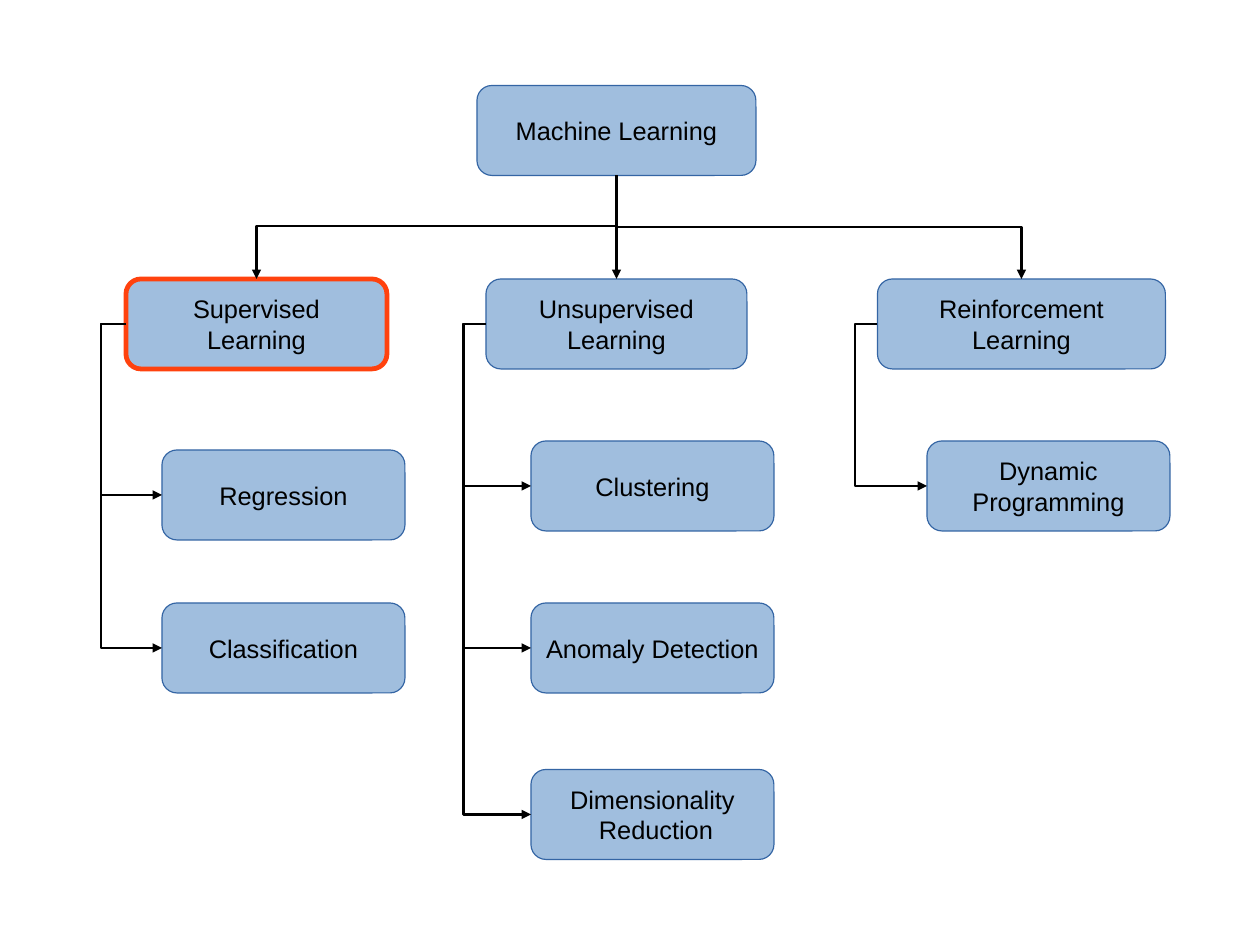
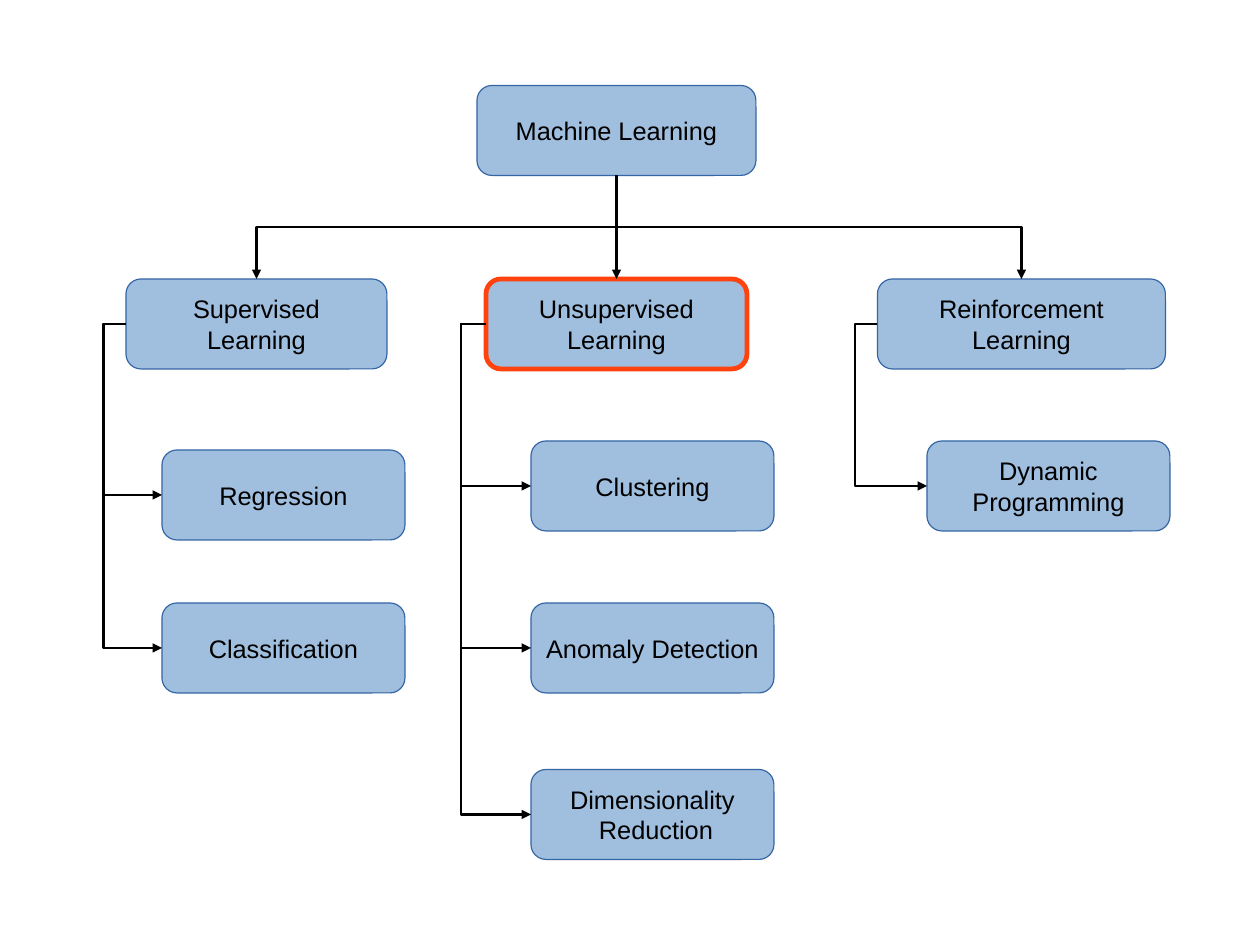
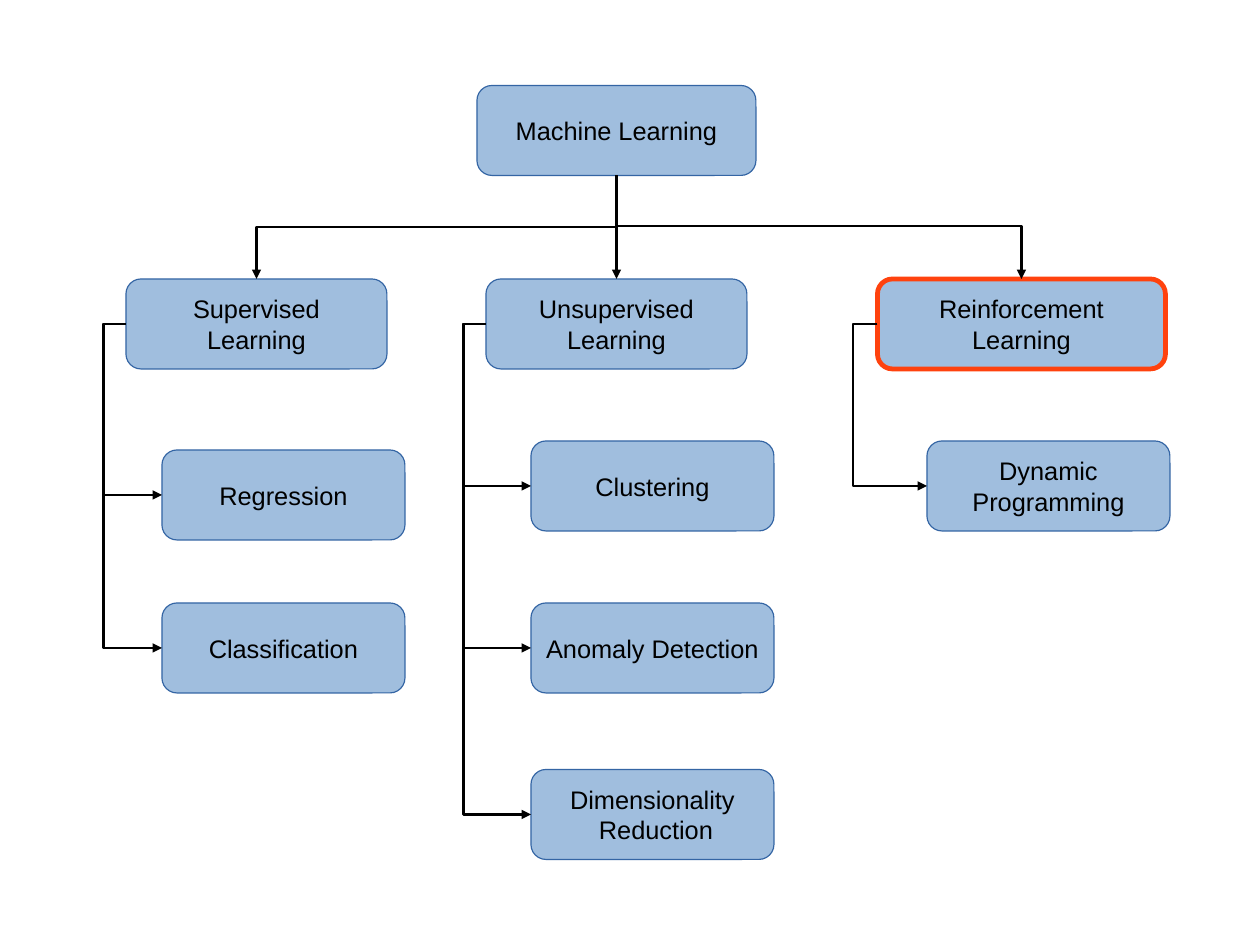
from lxml.etree import SubElement
from pptx import Presentation
from pptx.dml.color import RGBColor
from pptx.enum.shapes import MSO_CONNECTOR, MSO_SHAPE
from pptx.enum.text import MSO_ANCHOR, PP_ALIGN
from pptx.oxml.ns import qn
from pptx.util import Cm, Pt

FILL, EDGE, ACCENT, INK = "729FCF", "3465A4", "FF420E", "000000"
FONT, SIZE = "Arial", 16
NODE_H, LEAF_W = 2, 5.4
TOP, LEFT, BOTTOM = 0, 1, 2
ROOT = ("Machine Learning", 10.6, 1.9, 6.2)
BRANCH_Y = 6.2
BRANCHES = [
    ("Supervised\nLearning", 2.8, 5.8, 0.8,
     [("Regression", 3.8), ("Classification", 7.2)]),
    ("Unsupervised\nLearning", 10.8, 5.8, 1,
     [("Clustering", 3.6), ("Anomaly Detection", 7.2),
      ("Dimensionality\n Reduction", 10.9)]),
    ("Reinforcement\nLearning", 19.5, 6.4, 1.1,
     [("Dynamic\nProgramming", 3.6)]),
]


def color(value):
    return RGBColor.from_string(value)


def add_node(s, label, x, y, w, lit=False):
    sp = s.shapes.add_shape(MSO_SHAPE.ROUNDED_RECTANGLE, Cm(x), Cm(y), Cm(w), Cm(NODE_H))
    sp.shadow.inherit = False
    sp.fill.solid()
    sp.fill.fore_color.rgb = color(FILL)
    fill = sp.fill._xPr.find(qn("a:solidFill"))
    SubElement(fill[0], qn("a:alpha"), val="67000")
    sp.line.color.rgb = color(ACCENT if lit else EDGE)
    sp.line.width = Pt(3 if lit else 0)
    tf = sp.text_frame
    tf.word_wrap = False
    tf.vertical_anchor = MSO_ANCHOR.MIDDLE
    tf.margin_left = tf.margin_right = Cm(0.3 if lit else 0.25)
    tf.margin_top = tf.margin_bottom = Cm(0.18 if lit else 0.13)
    tf.text = label
    for p in tf.paragraphs:
        p.alignment = PP_ALIGN.CENTER
        for r in p.runs:
            r.font.name, r.font.size = FONT, Pt(SIZE)
            r.font.color.rgb = color(INK)
    return sp


def add_elbow(s, begin, begin_site, end, end_site, bend):
    cxn = s.shapes.add_connector(MSO_CONNECTOR.ELBOW, 0, 0, 0, 0)
    cxn.begin_connect(begin, begin_site)
    cxn.end_connect(end, end_site)
    cxn.line.color.rgb = color(INK)
    cxn.line.width = Pt(1.5)
    SubElement(cxn.line._get_or_add_ln(), qn("a:tailEnd"), type="triangle")
    props = cxn._element.spPr
    SubElement(props, qn("a:effectLst"))
    guides = props.find(qn("a:prstGeom")).get_or_add_avLst()
    SubElement(guides, qn("a:gd"), name="adj1", fmla=f"val {round(bend * 100000)}")
    return cxn


def link_down(s, parent, child, lit):
    x1, y1 = parent.left + parent.width // 2, parent.top + parent.height
    x2, y2 = child.left + child.width // 2, child.top
    cxn = add_elbow(s, parent, BOTTOM, child, TOP, 0.49 if lit else 0.5)
    drop, run = y2 - y1, abs(x2 - x1)
    cxn.left, cxn.top = (x1 + x2 - drop) // 2, (y1 + y2 - run) // 2
    cxn.width, cxn.height = drop, run
    xfrm = cxn._element.spPr.find(qn("a:xfrm"))
    to_right = x2 > x1
    xfrm.set("rot", "16200000" if to_right else "5400000")
    xfrm.set("flipH", "1" if to_right else "0")
    xfrm.set("flipV", "0")


def link_side(s, parent, child, lit):
    x1, y1 = parent.left, parent.top + parent.height // 2
    x2, y2 = child.left, child.top + child.height // 2
    cxn = add_elbow(s, parent, LEFT, child, LEFT, -Cm(0.55 if lit else 0.5) / (x2 - x1))
    cxn.left, cxn.top, cxn.width, cxn.height = x1, y1, x2 - x1, y2 - y1
    xfrm = cxn._element.spPr.find(qn("a:xfrm"))
    xfrm.set("flipH", "0")
    xfrm.set("flipV", "0")


def add_branch(s, x, y, w, label, indent, leaves, lit):
    head = add_node(s, label, x, y, w, lit)
    for leaf_label, dy in leaves:
        leaf = add_node(s, leaf_label, x + indent, y + dy, LEAF_W)
        link_side(s, head, leaf, lit)
    return head


def add_tree_slide(prs, lit_index):
    s = prs.slides.add_slide(prs.slide_layouts[6])
    root = add_node(s, *ROOT)
    for i, (label, x, w, indent, leaves) in enumerate(BRANCHES):
        lit = i == lit_index
        head = add_branch(s, x, BRANCH_Y, w, label, indent, leaves, lit)
        link_down(s, root, head, lit)


def main():
    prs = Presentation()
    prs.slide_width, prs.slide_height = Cm(28), Cm(21)
    for i in range(len(BRANCHES)):
        add_tree_slide(prs, i)
    prs.save("out.pptx")


if __name__ == "__main__":
    main()
